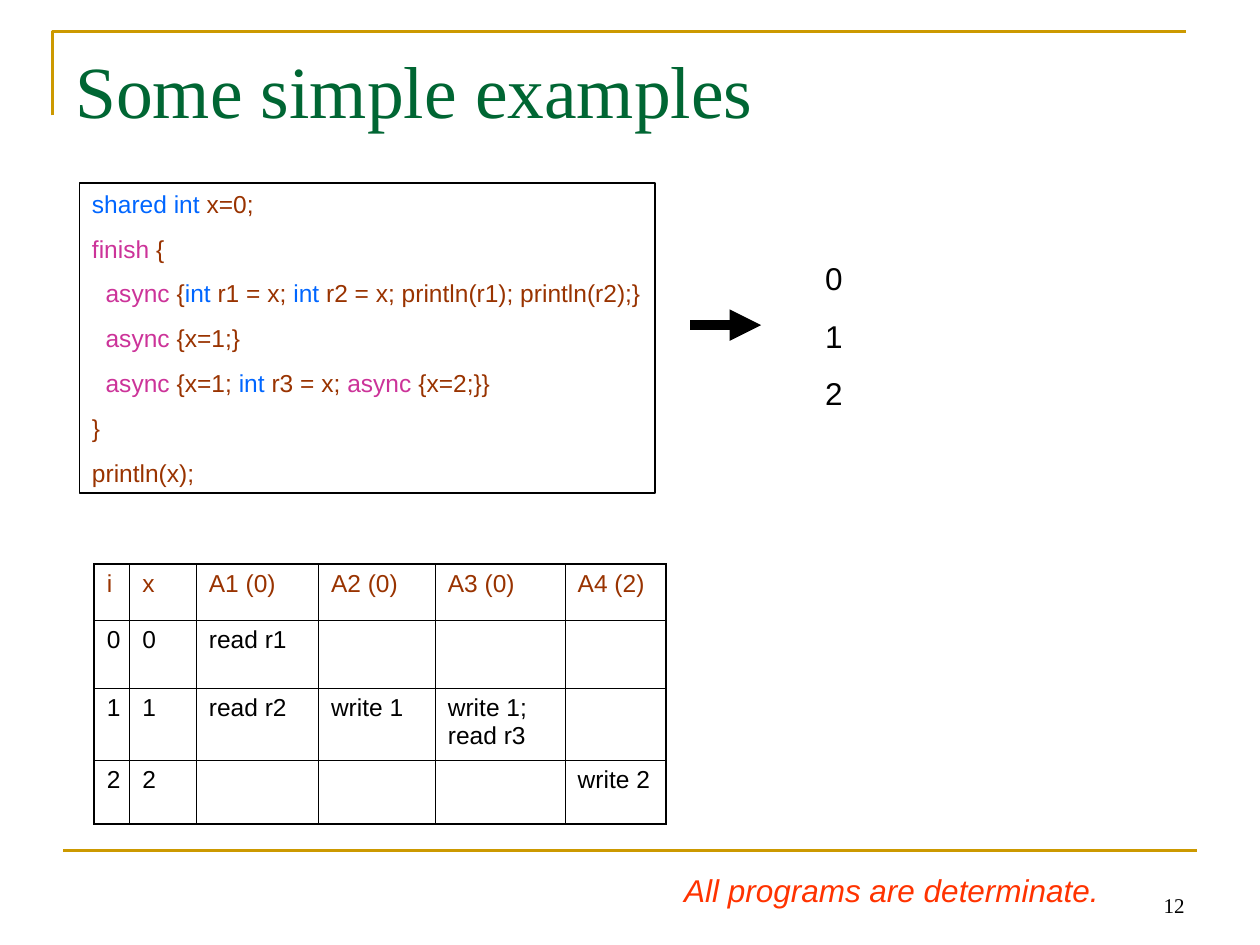
from dataclasses import dataclass

from lxml.etree import SubElement
from pptx import Presentation
from pptx.dml.color import RGBColor
from pptx.enum.shapes import MSO_CONNECTOR, MSO_SHAPE
from pptx.enum.text import MSO_ANCHOR, PP_ALIGN
from pptx.oxml import parse_xml
from pptx.oxml.ns import nsdecls, qn
from pptx.util import Pt


@dataclass(frozen=True)
class Theme:
    serif: str = "Times New Roman"
    sans: str = "Arial"
    title: str = "006633"
    rule: str = "CC9900"
    ink: str = "000000"
    code: str = "993300"
    type_name: str = "0066FF"
    keyword: str = "CC3399"
    remark: str = "FF3300"
    title_size: int = 42
    body_size: int = 18
    code_size: int = 14
    number_size: int = 12


theme = Theme()


def add_text(box, lines, font, size, color, gap=0):
    """Write text box lines in one font, with gap points between them."""
    tf = box.text_frame
    tf.word_wrap = True
    for i, line in enumerate(lines):
        p = tf.paragraphs[0] if i == 0 else tf.add_paragraph()
        p.text = line
        p.font.name, p.font.size = font, Pt(size)
        p.font.color.rgb = RGBColor.from_string(color)
        if i:
            p.space_before = Pt(gap)
    return tf


def add_line(x1, y1, x2, y2, color, width):
    cx = s.shapes.add_connector(MSO_CONNECTOR.STRAIGHT, Pt(x1), Pt(y1), Pt(x2), Pt(y2))
    cx.line.color.rgb = RGBColor.from_string(color)
    cx.line.width = Pt(width)
    SubElement(cx._element.spPr, qn("a:effectLst"))
    return cx


prs = Presentation()
prs.slide_width, prs.slide_height = Pt(720), Pt(540)
s = prs.slides.add_slide(prs.slide_layouts[6])

# Frame rules
builder = s.shapes.build_freeform(Pt(30), Pt(66), scale=1.0)
builder.add_line_segments([(Pt(30), Pt(18)), (Pt(678), Pt(18))], close=False)
corner = builder.convert_to_shape()
corner.shadow.inherit = False
corner.fill.background()
corner.line.color.rgb = RGBColor.from_string(theme.rule)
corner.line.width = Pt(1.5)
add_line(36, 486, 684, 486, theme.rule, 1.5)

title = s.shapes.add_textbox(Pt(36), Pt(22), Pt(648), Pt(90))
add_text(title, ["Some simple examples"], theme.serif, theme.title_size, theme.title)

# Program, one list of coloured pieces per line
program = [
    ["shared int", " x=0;"],
    ["finish", " {"],
    ["  ", "async", " {", "int", " r1 = x; ", "int", " r2 = x; println(r1); println(r2);}"],
    ["  ", "async", " {x=1;}"],
    ["  ", "async", " {x=1; ", "int", " r3 = x; ", "async", " {x=2;}}"],
    ["}"],
    ["println(x);"],
]
syntax = {
    "shared int": theme.type_name,
    "int": theme.type_name,
    "finish": theme.keyword,
    "async": theme.keyword,
}
code = s.shapes.add_shape(MSO_SHAPE.RECTANGLE, Pt(45.5), Pt(104.4), Pt(329), Pt(177.2))
code.shadow.inherit = False
code.fill.background()
code.line.color.rgb = RGBColor.from_string(theme.ink)
code.line.width = Pt(1)
tf = add_text(code, [""] * len(program), theme.sans, theme.code_size, theme.code, 8.8)
tf.vertical_anchor = MSO_ANCHOR.TOP
for p, pieces in zip(tf.paragraphs, program):
    p.alignment = PP_ALIGN.LEFT
    for piece in pieces:
        r = p.add_run()
        r.text = piece
        r.font.color.rgb = RGBColor.from_string(syntax.get(piece, theme.code))

# Remark, arrow and printed output
remark = s.shapes.add_textbox(Pt(383.8), Pt(494.2), Pt(296.6), Pt(28.8))
tf = add_text(remark, ["All programs are determinate."], theme.sans, theme.body_size, theme.remark)
tf.paragraphs[0].font.italic = True

arrow = add_line(394.5, 185.8, 435, 185.8, theme.ink, 6)
SubElement(arrow.line._get_or_add_ln(), qn("a:tailEnd"), type="triangle")

output = s.shapes.add_textbox(Pt(464.4), Pt(144.7), Pt(76.3), Pt(94.3))
add_text(output, ["0", "1", "2"], theme.sans, theme.body_size, theme.ink, 11.2)

# Execution trace
trace = [
    ["i", "x", "A1 (0)", "A2 (0)", "A3 (0)", "A4 (2)"],
    ["0", "0", "read r1", "", "", ""],
    ["1", "1", "read r2", "write 1", "write 1; read r3", ""],
    ["2", "2", "", "", "", "write 2"],
]
widths = [20.4, 38, 69.8, 66.8, 74.2, 57.6]
heights = [32.2, 38.9, 41.2, 36.5]
last_row, last_col = len(heights) - 1, len(widths) - 1
table = s.shapes.add_table(
    len(heights), len(widths), Pt(53.8), Pt(322.2), Pt(sum(widths)), Pt(sum(heights))
).table
table.first_row = table.horz_banding = False
for column, width in zip(table.columns, widths):
    column.width = Pt(width)
for row, height in zip(table.rows, heights):
    row.height = Pt(height)
for i, values in enumerate(trace):
    for j, value in enumerate(values):
        cell = table.cell(i, j)
        cell.fill.background()
        p = cell.text_frame.paragraphs[0]
        p.text = value
        p.font.name, p.font.size = theme.sans, Pt(theme.code_size)
        p.font.color.rgb = RGBColor.from_string(theme.ink if i else theme.code)
        outer = {"lnL": j == 0, "lnR": j == last_col, "lnT": i == 0, "lnB": i == last_row}
        for k, (side, is_outer) in enumerate(outer.items()):
            border = parse_xml(
                f'<a:{side} {nsdecls("a")} w="{Pt(1.08 if is_outer else 0.45)}">'
                f'<a:solidFill><a:srgbClr val="{theme.ink}"/></a:solidFill></a:{side}>'
            )
            cell._tc.get_or_add_tcPr().insert(k, border)

number = s.shapes.add_textbox(Pt(516), Pt(491.8), Pt(168), Pt(36))
tf = add_text(number, ["12"], theme.serif, theme.number_size, theme.ink)
tf.vertical_anchor = MSO_ANCHOR.BOTTOM
tf.paragraphs[0].alignment = PP_ALIGN.RIGHT

prs.save("out.pptx")
